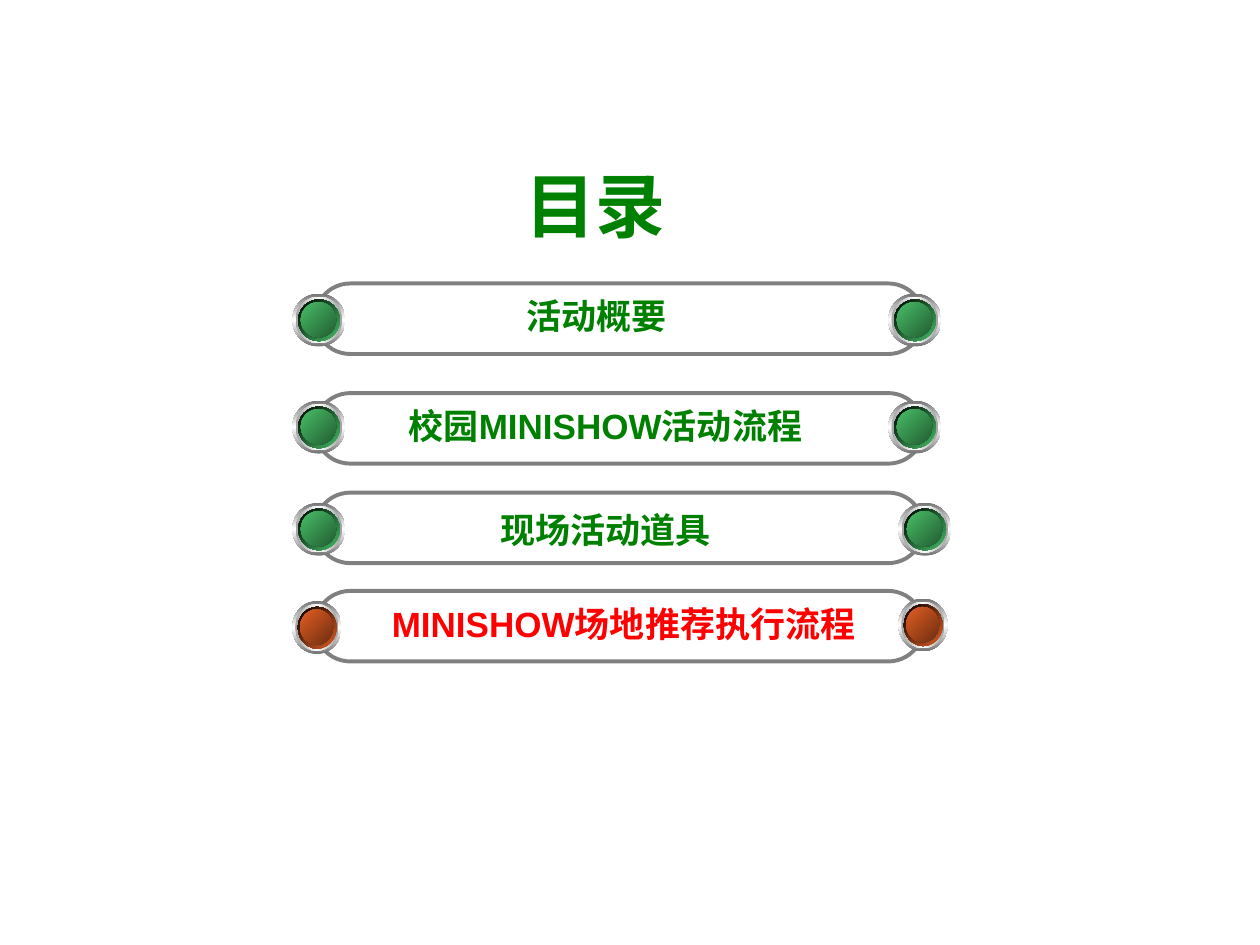
from pptx import Presentation
from pptx.dml.color import RGBColor
from pptx.enum.shapes import MSO_SHAPE as SHAPE
from pptx.enum.text import MSO_ANCHOR as ANCHOR, MSO_AUTO_SIZE as AUTO, PP_ALIGN as ALIGN
from pptx.oxml import parse_xml
from pptx.oxml.ns import nsdecls, qn
from pptx.util import Inches, Pt

COLORS = {"green": "008000", "red": "FF0000", "outline": "808080"}
# Button colours: light and dark end of the coloured gradients
BUTTONS = {"green": ("48BE67", "225C31"), "red": ("E35E23", "6D2D10")}

TITLE = ("目录", (4.07, 1.24, 1.31, 0.77))
# text, text box, bar top, (left, top) of both buttons, button width, colour
ITEMS = [
    ("活动概要", (4.08, 2.29, 1.31, 0.44), 2.25, [(7.05, 2.33), (2.32, 2.33)], 0.42, "green"),
    ("校园MINISHOW活动流程", (3.08, 3.16, 3.45, 0.44), 3.12,
     [(7.05, 3.18), (2.32, 3.18)], 0.42, "green"),
    ("现场活动道具", (3.87, 3.99, 1.87, 0.44), 3.91, [(7.13, 3.99), (2.32, 3.99)], 0.42, "green"),
    ("MINISHOW场地推荐执行流程", (2.98, 4.73, 3.94, 0.44), 4.69,
     [(7.13, 4.75), (2.32, 4.77)], 0.39, "red"),
]
BAR_LEFT, BAR_W, BAR_H = 2.5, 4.83, 0.56
BUTTON_H = 0.42


def button_layers(light, dark):
    """Inset and size as shares of the button, gradient colours, angle."""
    return [
        (0, 1, ("757575", "FFFFFF", "757575"), 90),
        (0.06, 0.88, ("A1A1A1", "FFFFFF", "A1A1A1"), 180),
        (0.11, 0.79, ("FEFEFE", "009999", "FEFEFE"), 225),
        (0.11, 0.79, (light, "000000"), 225),
        (0.16, 0.67, ("005252", "009999", "005252"), 135),
        (0.16, 0.67, (dark, light), 225),
    ]


def set_gradient(sp, colors, angle):
    step = 100000 // (len(colors) - 1)
    stops = "".join(f'<a:gs pos="{i * step}"><a:srgbClr val="{c}"/></a:gs>'
                    for i, c in enumerate(colors))
    sp.fill.background()
    props = sp._element.spPr
    props.replace(props.find(qn("a:noFill")), parse_xml(
        f'<a:gradFill {nsdecls("a")} rotWithShape="1"><a:gsLst>{stops}</a:gsLst>'
        f'<a:lin ang="{angle * 60000}" scaled="1"/></a:gradFill>'))


def add_button(slide, left, top, width, color):
    group = slide.shapes.add_group_shape()
    for inset, size, colors, angle in button_layers(*BUTTONS[color]):
        sp = group.shapes.add_shape(
            SHAPE.OVAL, Inches(left + inset * width), Inches(top + inset * BUTTON_H),
            Inches(size * width), Inches(size * BUTTON_H))
        sp.shadow.inherit = False
        sp.line.fill.background()
        set_gradient(sp, colors, angle)


def add_bar(slide, top):
    sp = slide.shapes.add_shape(SHAPE.ROUNDED_RECTANGLE, Inches(BAR_LEFT), Inches(top),
                                Inches(BAR_W), Inches(BAR_H))
    sp.adjustments[0] = 0.5
    sp.shadow.inherit = False
    sp.fill.background()
    sp.line.color.rgb = RGBColor.from_string(COLORS["outline"])
    sp.line.width = Pt(2.25)


def set_text(sp, text, size, color):
    tf = sp.text_frame
    tf.text = text
    tf.word_wrap = False
    tf.auto_size = AUTO.NONE
    tf.vertical_anchor = ANCHOR.TOP
    # No side margins, so each line has room to stay whole
    tf.margin_left = tf.margin_right = 0
    p = tf.paragraphs[0]
    p.alignment = ALIGN.CENTER
    font = p.runs[0].font
    font.name, font.size, font.bold = "Arial", Pt(size), True
    font.color.rgb = RGBColor.from_string(COLORS[color])


def main():
    prs = Presentation()
    prs.slide_width, prs.slide_height = Inches(10), Inches(7.5)
    slide = prs.slides.add_slide(prs.slide_layouts[5])

    # Title
    text, box = TITLE
    title = slide.shapes.title
    title.left, title.top, title.width, title.height = map(Inches, box)
    set_text(title, text, 40, "green")

    # Agenda rows: bar, label and a button at each end
    for text, box, bar_top, buttons, button_w, color in ITEMS:
        add_bar(slide, bar_top)
        set_text(slide.shapes.add_textbox(*map(Inches, box)), text, 20, color)
        for left, top in buttons:
            add_button(slide, left, top, button_w, color)

    prs.save("out.pptx")


if __name__ == "__main__":
    main()
